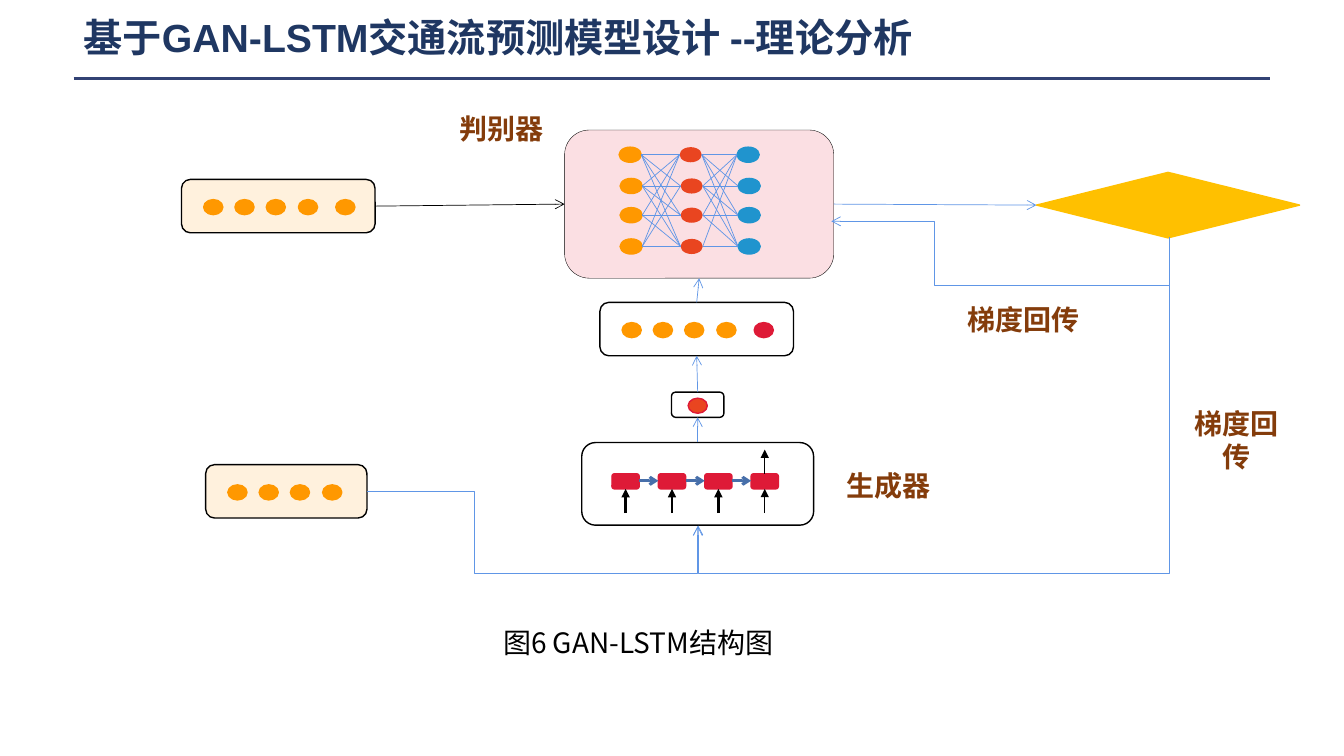
import pptx
import pptx.dml.color
import pptx.enum.shapes
import pptx.enum.text
import pptx.oxml.ns
import pptx.util
from lxml import etree

SHAPE = pptx.enum.shapes.MSO_SHAPE
CONNECTOR = pptx.enum.shapes.MSO_CONNECTOR
ALIGN = pptx.enum.text.PP_ALIGN
ANCHOR = pptx.enum.text.MSO_ANCHOR
inch = pptx.util.Inches
qn = pptx.oxml.ns.qn

CJK = "Noto Sans CJK SC"
BLUE, ORANGE, RED, VERMILION = "6096E6", "FF9800", "DE1A37", "E94520"
SKY, CREAM, WHITE, BLACK = "2094CE", "FFF1DD", "FFFFFF", "000000"
TOP, LEFT, BOTTOM, RIGHT = range(4)
DOT = (0.19, 0.15)
NEURON = (0.22, 0.15)
CELL = (0.27, 0.15)


def color(value):
    """Turn a hex string into a colour."""
    return pptx.dml.color.RGBColor.from_string(value)


def add_block(s, kind, box, fill, line=BLACK, width=1):
    """Draw a filled preset shape; a line of None leaves it without an outline."""
    sp = s.shapes.add_shape(kind, *map(inch, box))
    sp.shadow.inherit = False
    sp.fill.solid()
    sp.fill.fore_color.rgb = color(fill)
    if line:
        sp.line.color.rgb = color(line)
        sp.line.width = pptx.util.Pt(width)
    else:
        sp.line.fill.background()
    return sp


def style_line(c, line, width, head):
    """Format a connector and give its end an arrowhead."""
    c.line.color.rgb = color(line)
    c.line.width = pptx.util.Pt(width)
    if head:
        etree.SubElement(c.line._get_or_add_ln(), qn("a:tailEnd"), type=head)
    etree.SubElement(c._element.spPr, qn("a:effectLst"))


def add_line(s, start, end, line=BLUE, width=0.5, head=None):
    """Draw a straight connector between two points."""
    c = s.shapes.add_connector(CONNECTOR.STRAIGHT, *map(inch, (*start, *end)))
    style_line(c, line, width, head)
    return c


def join(s, source, source_side, target, target_side, line=BLUE):
    """Draw an arrow joined to the sides of two shapes."""
    c = add_line(s, (0, 0), (1, 1), line, head="arrow")
    c.begin_connect(source, source_side)
    c.end_connect(target, target_side)


def add_elbow(s, box, bends, rotation=0, flip=False):
    """Draw a bent arrow in its unrotated box, with bends as shares of it."""
    x, y, w, h = box
    c = s.shapes.add_connector(CONNECTOR.ELBOW, *map(inch, (x, y, x + w, y + h)))
    xfrm = c._element.spPr.find(qn("a:xfrm"))
    if rotation:
        xfrm.set("rot", str(rotation * 60000))
    if flip:
        xfrm.set("flipH", "1")
    geometry = c._element.spPr.find(qn("a:prstGeom"))
    geometry.set("prst", f"bentConnector{len(bends) + 2}")
    guides = geometry.find(qn("a:avLst"))
    if guides is None:
        guides = etree.SubElement(geometry, qn("a:avLst"))
    for number, bend in enumerate(bends, 1):
        etree.SubElement(guides, qn("a:gd"), name=f"adj{number}",
                         fmla=f"val {round(bend * 100000)}")
    style_line(c, BLUE, 0.5, "arrow")


def write(tf, text, font, hue, align, anchor, indent=0.1):
    """Fill a text frame with one formatted paragraph."""
    frame = {"word_wrap": True, "vertical_anchor": anchor, "margin_left": inch(indent),
             "margin_right": inch(0.1), "margin_top": inch(0.05),
             "margin_bottom": inch(0.05), "auto_size": pptx.enum.text.MSO_AUTO_SIZE.NONE}
    for name, value in frame.items():
        setattr(tf, name, value)
    p = tf.paragraphs[0]
    p.alignment = align
    r = p.add_run()
    r.text = text
    for name, value in font.items():
        setattr(r.font, name, value)
    r.font.color.rgb = color(hue)
    etree.SubElement(r._r.get_or_add_rPr(), qn("a:ea"), typeface=CJK)


def add_title(s, box):
    """Place the title and the rule below it."""
    x, y, w, h = box
    sp = s.shapes.title
    sp.left, sp.top, sp.width, sp.height = map(inch, box)
    font = {"size": pptx.util.Pt(28), "name": "Arial", "bold": True}
    write(sp.text_frame, "基于GAN-LSTM交通流预测模型设计 --理论分析", font, "1F3762",
          ALIGN.LEFT, ANCHOR.MIDDLE)
    add_line(s, (x, y + 0.7), (x + 11.87, y + 0.7), "324274", 1.75)


def add_label(s, text, box):
    """Place a bold brown label on white."""
    sp = add_block(s, SHAPE.RECTANGLE, box, WHITE, WHITE)
    font = {"size": pptx.util.Pt(20), "name": "Calibri", "bold": True}
    write(sp.text_frame, text, font, "843C0B", ALIGN.CENTER, ANCHOR.MIDDLE)


def add_caption(s, box):
    """Place the figure caption."""
    sp = add_block(s, SHAPE.RECTANGLE, box, WHITE, WHITE, 0.75)
    font = {"size": pptx.util.Pt(20), "name": CJK}
    write(sp.text_frame, "图6 GAN-LSTM结构图", font, BLACK, ALIGN.LEFT, ANCHOR.TOP, 0.41)


def add_sequence(s, box, fill, dots):
    """Draw a rounded box holding a row of coloured dots."""
    x, y, w, h = box
    sp = add_block(s, SHAPE.ROUNDED_RECTANGLE, box, fill)
    for dx, hue in zip((0.22, 0.53, 0.84, 1.16, 1.53), dots):
        add_block(s, SHAPE.OVAL, (x + dx, y + 0.2, *DOT), hue, hue)
    return sp


def add_discriminator(s, box):
    """Draw the three-layer network in its panel."""
    x, y, w, h = box
    panel = add_block(s, SHAPE.ROUNDED_RECTANGLE, box, "FBDFE3", BLACK, 0.25)
    rows = [y + dy for dy in (0.17, 0.48, 0.77, 1.08)]
    columns = [x + dx for dx in (0.54, 1.14, 1.71)]
    layers = [[(left + (0.01 if n else 0), top) for n, top in enumerate(rows)]
              for left in columns]
    for layer, hue, line in zip(layers, (ORANGE, VERMILION, SKY), (ORANGE, None, SKY)):
        for spot in layer:
            add_block(s, SHAPE.OVAL, (*spot, *NEURON), hue, line)
    unlinked = ({(2, 1), (3, 2)}, {(2, 1), (3, 1), (3, 2)})
    for sources, targets, gaps in zip(layers, layers[1:], unlinked):
        for i, (x1, y1) in enumerate(sources):
            for j, (x2, y2) in enumerate(targets):
                if (i, j) not in gaps:
                    add_line(s, (x1 + NEURON[0], y1 + NEURON[1] / 2),
                             (x2, y2 + NEURON[1] / 2))
    return panel


def add_generator(s, box):
    """Draw the chain of recurrent cells in its panel."""
    x, y, w, h = box
    panel = add_block(s, SHAPE.ROUNDED_RECTANGLE, box, WHITE)
    cells = [x + 0.3 + 0.46 * n for n in range(4)]
    top, middle = y + 0.31, y + 0.38
    for left in cells:
        add_block(s, SHAPE.ROUNDED_RECTANGLE, (left, top, *CELL), RED, RED)
    for n, left in enumerate(cells):
        center = left + CELL[0] / 2
        add_line(s, (center, y + 0.7), (center, y + 0.46), BLACK,
                 0.5 if n == 3 else 0, "triangle")
    for left, following in zip(cells, cells[1:]):
        add_line(s, (left + CELL[0], middle), (following, middle), "476FAA", 0, "arrow")
    add_line(s, (center, top), (center, y + 0.07), BLACK, 0.5, "triangle")
    return panel


def add_output(s, box):
    """Draw the generated value in its small box."""
    x, y, w, h = box
    sp = add_block(s, SHAPE.ROUNDED_RECTANGLE, box, WHITE)
    add_block(s, SHAPE.OVAL, (x + (w - DOT[0]) / 2, y + 0.06, *DOT), VERMILION, RED)
    return sp


def add_diagram(s):
    """Place the parts of the model and the flows between them."""
    discriminator = add_discriminator(s, (5.6, 1.29, 2.67, 1.47))
    add_sequence(s, (2.04, 4.61, 1.6, 0.53), CREAM, [ORANGE] * 4)
    output = add_output(s, (6.66, 3.89, 0.52, 0.25))
    predicted = add_sequence(s, (5.95, 3, 1.92, 0.53), WHITE, [ORANGE] * 4 + [RED])
    generator = add_generator(s, (5.77, 4.39, 2.3, 0.82))
    real = add_sequence(s, (1.8, 1.78, 1.92, 0.53), CREAM, [ORANGE] * 5)
    decision = add_block(s, SHAPE.DIAMOND, (10.28, 1.71, 2.61, 0.65), "FFC000", "FFC000")
    join(s, real, RIGHT, discriminator, LEFT, BLACK)
    join(s, generator, TOP, output, BOTTOM)
    join(s, output, TOP, predicted, BOTTOM)
    join(s, predicted, TOP, discriminator, BOTTOM)
    join(s, discriminator, RIGHT, decision, LEFT)
    add_elbow(s, (3.64, 4.88, 3.28, 0.34), (0.324, 2.379))
    add_elbow(s, (9.84, 0.6, 0.16, 3.35), (-3, 0.694), 90, True)
    add_elbow(s, (7.83, 1.45, 2.86, 4.67), (1.164,), 90)
    for text, box in (("梯度回传", (9.06, 2.84, 2.18, 0.66)),
                      ("梯度回传", (11.72, 3.35, 1.08, 2.03)),
                      ("生成器", (8.15, 4.48, 1.32, 0.66)),
                      ("判别器", (4.41, 0.94, 1.13, 0.66))):
        add_label(s, text, box)


def main():
    """Build the slide and save it."""
    prs = pptx.Presentation()
    prs.slide_width, prs.slide_height = inch(13.33), inch(7.5)
    s = prs.slides.add_slide(prs.slide_layouts[5])
    add_title(s, (0.73, 0.08, 9.11, 0.57))
    add_diagram(s)
    add_caption(s, (4.58, 6.16, 6.02, 0.77))
    prs.save("out.pptx")


if __name__ == "__main__":
    main()
